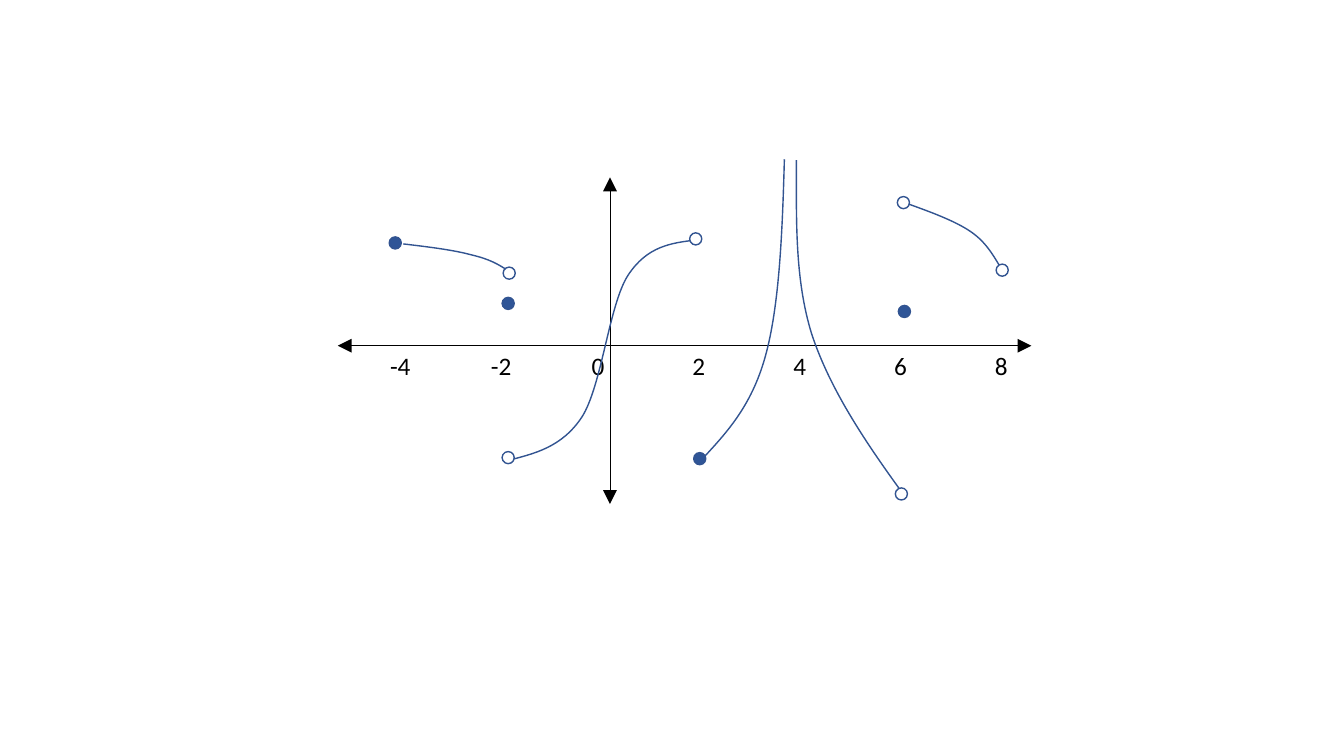
from dataclasses import dataclass
from lxml.etree import SubElement
from pptx import Presentation
from pptx.dml.color import RGBColor
from pptx.enum.shapes import MSO_CONNECTOR, MSO_SHAPE
from pptx.enum.text import MSO_AUTO_SIZE, PP_ALIGN
from pptx.oxml.ns import qn
from pptx.util import Pt

EMU_PER_PX = 9144


@dataclass(frozen=True)
class Theme:
    """Colours, font and sizes of the graph."""
    ink: RGBColor = RGBColor.from_string("000000")
    curve: RGBColor = RGBColor.from_string("325491")
    closed: RGBColor = RGBColor.from_string("2F5597")
    open: RGBColor = RGBColor.from_string("FFFFFF")
    font: str = "Calibri"
    label: int = 18
    axis_width: float = 0.5
    curve_width: float = 1
    dot: int = 12


THEME = Theme()

TICKS = range(-4, 9, 2)
TICK_GAP = 100
CURVES = [
    [(400, 242), (425, 245), (450, 248), (468, 253), (485, 257), (494, 262), (503, 268)],
    [(503, 457), (530, 450), (557, 444), (577, 414), (597, 383), (604, 302), (623, 273),
     (642, 244), (666, 241), (691, 238)],
    [(695, 457), (720, 430), (745, 404), (759, 354), (773, 304), (776, 231), (778, 158)],
    [(790, 159), (790, 216), (788, 276), (805, 331), (823, 386), (858, 438), (895, 489)],
    [(897, 201), (922, 210), (947, 219), (963, 230), (979, 241), (986, 255), (994, 268)],
]
OPEN_DOTS = [(499, 265), (498, 448), (684, 231), (888, 484), (890, 195), (988, 262)]
CLOSED_DOTS = [(386, 235), (498, 295), (688, 449), (891, 303)]


def px(*lengths):
    """Turn px lengths into a list of EMU."""
    return [n * EMU_PER_PX for n in lengths]


def set_line(line, color, width):
    """Give a line its colour and width."""
    line.color.rgb = color
    line.width = Pt(width)


def add_text(s, text, box, tabs=(), size=THEME.label, color=THEME.ink, align=PP_ALIGN.LEFT):
    """Add a text box with one formatted paragraph and its tab stops."""
    tf = s.shapes.add_textbox(*px(*box)).text_frame
    tf.word_wrap = True
    tf.auto_size = MSO_AUTO_SIZE.SHAPE_TO_FIT_TEXT
    p = tf.paragraphs[0]
    p.alignment = align
    stops = SubElement(p._p.get_or_add_pPr(), qn("a:tabLst"))
    for pos in px(*tabs):
        SubElement(stops, qn("a:tab"), pos=str(pos), algn="l")
    r = p.add_run()
    r.text = text
    r.font.name = THEME.font
    r.font.size = Pt(size)
    r.font.color.rgb = color


def add_axis(shapes, *ends):
    """Add a straight axis with a large arrowhead at both ends."""
    sp = shapes.add_connector(MSO_CONNECTOR.STRAIGHT, *px(*ends))
    set_line(sp.line, THEME.ink, THEME.axis_width)
    ln = sp.element.spPr.find(qn("a:ln"))
    for end in ("a:headEnd", "a:tailEnd"):
        SubElement(ln, qn(end), type="triangle", w="lg", len="lg")
    SubElement(sp.element.spPr, qn("a:effectLst"))


def add_curve(shapes, points):
    """Add an unfilled cubic curve through every third point."""
    start, *rest = [px(*point) for point in points]
    builder = shapes.build_freeform(*start)
    builder.add_line_segments(rest, close=False)
    sp = builder.convert_to_shape()
    sp.shadow.inherit = False
    sp.fill.background()
    set_line(sp.line, THEME.curve, THEME.curve_width)
    outline = sp.element.find(".//" + qn("a:path"))
    steps = outline.findall(qn("a:lnTo"))
    for i in range(0, len(steps), 3):
        cubic = SubElement(outline, qn("a:cubicBezTo"))
        for step in steps[i:i + 3]:
            cubic.append(step[0])
            outline.remove(step)


def add_dot(shapes, left, top, color):
    """Add an end point of a curve."""
    sp = shapes.add_shape(MSO_SHAPE.OVAL, *px(left, top, THEME.dot, THEME.dot))
    sp.shadow.inherit = False
    sp.fill.solid()
    sp.fill.fore_color.rgb = color
    set_line(sp.line, THEME.curve, THEME.curve_width)


def main():
    """Build the slide with the graph and save it."""
    prs = Presentation()
    prs.slide_width, prs.slide_height = px(1333, 750)
    s = prs.slides.add_slide(prs.slide_layouts[6])
    add_text(s, "\t".join(str(n) for n in TICKS), (377, 343, 714, 40),
             tabs=[TICK_GAP * i for i in range(1, len(TICKS))])
    graph = s.shapes.add_group_shape().shapes
    add_axis(graph, 335, 343, 1023, 343)
    add_axis(graph, 605, 176, 605, 500)
    for points in CURVES:
        add_curve(graph, points)
    for dots, color in ((OPEN_DOTS, THEME.open), (CLOSED_DOTS, THEME.closed)):
        for left, top in dots:
            add_dot(graph, left, top, color)
    prs.save("out.pptx")


if __name__ == "__main__":
    main()
